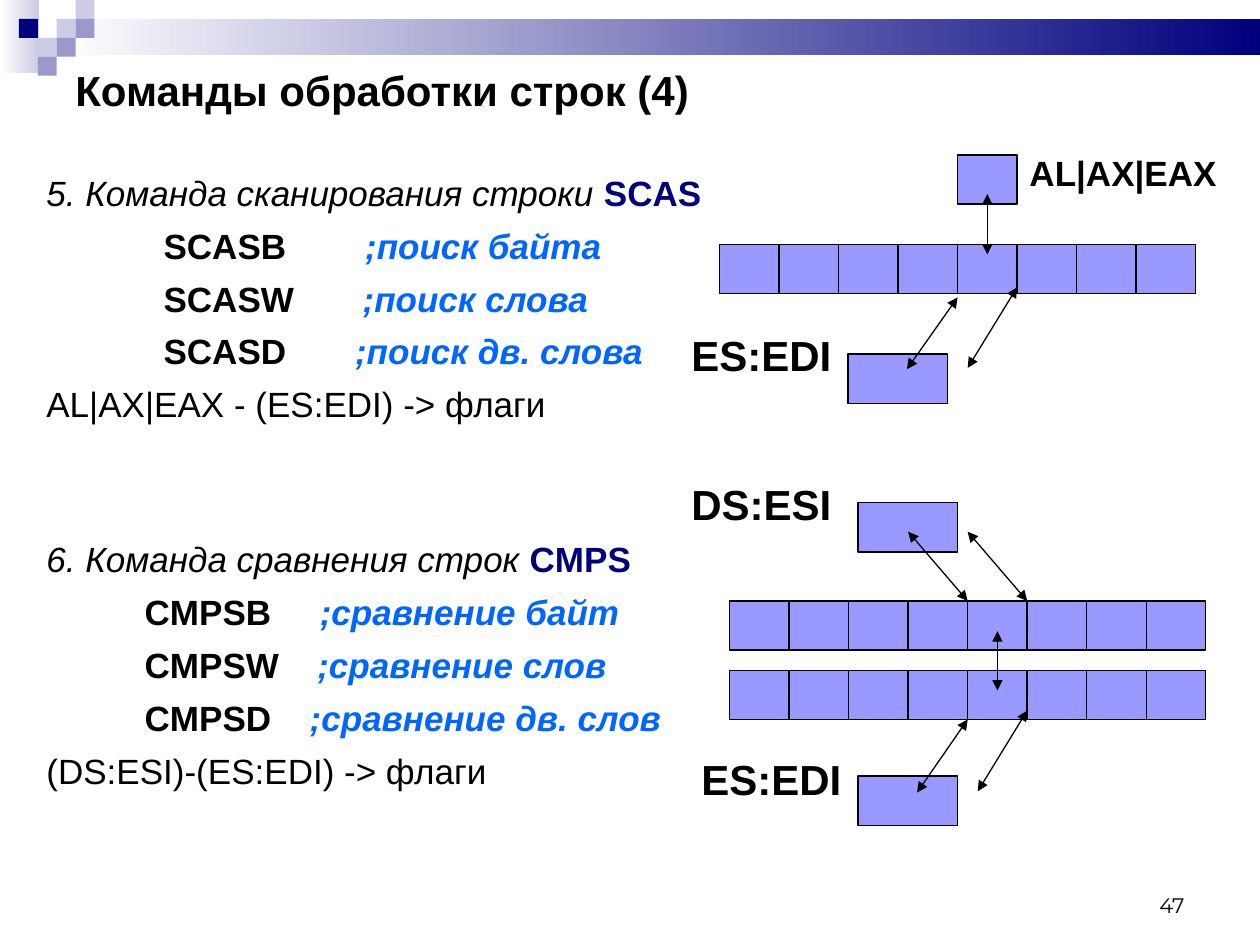
from lxml import etree
from pptx import Presentation
from pptx.dml.color import RGBColor
from pptx.enum.shapes import MSO_CONNECTOR, MSO_SHAPE
from pptx.enum.text import MSO_ANCHOR, PP_ALIGN
from pptx.oxml.ns import qn
from pptx.util import Inches, Pt

RECTANGLE = MSO_SHAPE.RECTANGLE
STRAIGHT = MSO_CONNECTOR.STRAIGHT
TOP, MIDDLE, BOTTOM = MSO_ANCHOR.TOP, MSO_ANCHOR.MIDDLE, MSO_ANCHOR.BOTTOM
LEFT, RIGHT = PP_ALIGN.LEFT, PP_ALIGN.RIGHT

WHITE = RGBColor(0xFF, 0xFF, 0xFF)
BLACK = RGBColor(0x00, 0x00, 0x00)
NAVY = RGBColor(0x00, 0x00, 0x7D)
BLUE = RGBColor(0x00, 0x66, 0xFF)
PALE = RGBColor(0xCC, 0xCC, 0xE6)
LAVENDER = RGBColor(0x99, 0x99, 0xCC)
CELL_FILL = RGBColor(0x99, 0x99, 0xFF)

TITLE = "Команды обработки строк (4)"
PAGE_NUMBER = "47"

# Commands: mnemonic, comment, comment tab stop in inches
SECTIONS = [
    {
        "heading": "5. Команда сканирования строки ", "name": "SCAS",
        "indent": 0.93,
        "commands": [("SCASB", ";поиск байта", 2.53),
                     ("SCASW", ";поиск слова", 2.51),
                     ("SCASD", ";поиск дв. слова", 2.45)],
        "result": "AL|AX|EAX - (ES:EDI) -> флаги",
    },
    {
        "heading": "6. Команда сравнения строк ", "name": "CMPS",
        "indent": 0.78,
        "commands": [("СMPSB", ";сравнение байт", 2.17),
                     ("СMPSW", ";сравнение слов", 2.15),
                     ("СMPSD", ";сравнение дв. слов", 2.09)],
        "result": "(DS:ESI)-(ES:EDI) -> флаги",
    },
]
LINE_GAP, SECTION_GAP = 6.2, 64.6

# Memory diagrams: x in cells from the left end of the strings, y in inches
CELLS = 8
CELL_W, CELL_H = 3.78 / CELLS, 0.39
POINTER_COL, POINTER_CELLS = 2.16, 1.67
DIAGRAMS = [
    {
        "left": 5.71,
        "strings": [1.94],
        "boxes": [(4, 1.23, 1), (POINTER_COL, 2.81, POINTER_CELLS)],
        "labels": [("AL|AX|EAX", 5, 1.15, 1.73, 20),
                   ("ES:EDI", -0.68, 2.57, 1.42, 24)],
        "arrows": [(4.5, 2.02, 4.5, 1.54),
                   (3.15, 2.93, 4, 2.36), (4.17, 2.92, 5, 2.28)],
    },
    {
        "left": 5.79,
        "strings": [4.77, 5.32],
        "boxes": [(POINTER_COL, 3.99, POINTER_CELLS),
                  (POINTER_COL, 6.16, POINTER_CELLS)],
        "labels": [("DS:ESI", -0.85, 3.75, 1.5, 24),
                   ("ES:EDI", -0.68, 5.93, 1.42, 24)],
        "arrows": [(3, 4.22, 4, 4.77), (4, 4.22, 5, 4.77),
                   (4.5, 5.01, 4.5, 5.48),
                   (3.15, 6.29, 4, 5.71), (4.17, 6.28, 5, 5.64)],
    },
]

# Corner ornament: left, top, width, height, end colour; then column, row, colour
BANDS = [(0, 0, 0.31, 0.58, PALE), (0.45, 0.15, 9.55, 0.29, NAVY)]
SQUARE = 0.15
SQUARES = [(3, 1, PALE), (4, 0, PALE), (4, 1, LAVENDER), (2, 2, PALE),
           (1, 1, NAVY), (3, 2, LAVENDER), (2, 3, LAVENDER)]

prs = Presentation()
prs.slide_width, prs.slide_height = Inches(10), Inches(7.5)
slide = prs.slides.add_slide(prs.slide_layouts[6])


def add_box(left, top, width, height, fill=None, outlined=False):
    box = slide.shapes.add_shape(RECTANGLE, Inches(left), Inches(top),
                                 Inches(width), Inches(height))
    box.shadow.inherit = False
    if fill is not None:
        box.fill.solid()
        box.fill.fore_color.rgb = fill
    if outlined:
        box.line.color.rgb = BLACK
        box.line.width = Pt(0.75)
    else:
        box.line.fill.background()
    return box


def add_band(left, top, width, height, end_color):
    band = add_box(left, top, width, height)
    band.fill.gradient()
    band.fill.gradient_angle = 0
    for stop, position, color in zip(band.fill.gradient_stops, (0, 1),
                                     (WHITE, end_color)):
        stop.position = position
        stop.color.rgb = color


def add_frame(left, top, width, height, anchor=TOP):
    frame = slide.shapes.add_textbox(Inches(left), Inches(top), Inches(width),
                                     Inches(height)).text_frame
    frame.word_wrap = True
    frame.vertical_anchor = anchor
    return frame


def style(paragraph, size, bold=None, font="Arial", align=LEFT):
    paragraph.alignment = align
    paragraph.font.name = font
    paragraph.font.size = Pt(size)
    paragraph.font.bold = bold
    paragraph.font.color.rgb = BLACK


def add_line(paragraph, text, **looks):
    style(paragraph, 20, **looks)
    paragraph.add_run().text = text


def add_accent(paragraph, text, color, italic):
    run = paragraph.add_run()
    run.text = text
    run.font.bold, run.font.italic = True, italic
    run.font.color.rgb = color


def add_tabs(paragraph, stops):
    tabs = etree.SubElement(paragraph._p.get_or_add_pPr(), qn("a:tabLst"))
    for stop in stops:
        etree.SubElement(tabs, qn("a:tab"), pos=str(Inches(stop)), algn="l")


def add_arrow(x1, y1, x2, y2):
    arrow = slide.shapes.add_connector(STRAIGHT, Inches(x1), Inches(y1),
                                       Inches(x2), Inches(y2))
    arrow.line.color.rgb = BLACK
    arrow.line.width = Pt(0.75)
    line = arrow.line._get_or_add_ln()
    for end in ("a:headEnd", "a:tailEnd"):
        etree.SubElement(line, qn(end), type="triangle")
    etree.SubElement(arrow._element.spPr, qn("a:effectLst"))


def add_sections():
    frame = add_frame(0.27, 1.31, 9, 5.39)
    for number, section in enumerate(SECTIONS):
        if number == 0:
            heading = frame.paragraphs[0]
        else:
            heading = frame.add_paragraph()
            heading.space_before = Pt(SECTION_GAP)
        add_line(heading, section["heading"])
        heading.runs[0].font.italic = True
        add_accent(heading, section["name"], NAVY, False)
        for mnemonic, comment, stop in section["commands"]:
            command = frame.add_paragraph()
            command.space_before = Pt(LINE_GAP)
            add_tabs(command, (section["indent"], stop))
            add_line(command, f"\t{mnemonic}\t", bold=True)
            add_accent(command, comment, BLUE, True)
        result = frame.add_paragraph()
        result.space_before = Pt(LINE_GAP)
        add_line(result, section["result"])


def add_diagram(diagram):
    def x(column):
        return diagram["left"] + column * CELL_W

    string_cells = [(column, top, 1) for top in diagram["strings"]
                    for column in range(CELLS)]
    for column, top, span in string_cells + diagram["boxes"]:
        add_box(x(column), top, span * CELL_W, CELL_H, CELL_FILL, outlined=True)
    for text, column, top, width, size in diagram["labels"]:
        label = add_frame(x(column), top, width, 0.5).paragraphs[0]
        label.text = text
        style(label, size, bold=True)
    for start, start_y, end, end_y in diagram["arrows"]:
        add_arrow(x(start), start_y, x(end), end_y)


for band in BANDS:
    add_band(*band)
for column, row, color in SQUARES:
    add_box(column * SQUARE, row * SQUARE, SQUARE, SQUARE, color)

page = add_frame(7.17, 6.83, 2.33, 0.5, BOTTOM).paragraphs[0]
page.text = PAGE_NUMBER
style(page, 12, font="Montserrat", align=RIGHT)
title = add_frame(0.5, 0.46, 9, 0.5, MIDDLE).paragraphs[0]
title.text = TITLE
style(title, 24, bold=True)

add_sections()
for diagram in DIAGRAMS:
    add_diagram(diagram)

prs.save("out.pptx")
